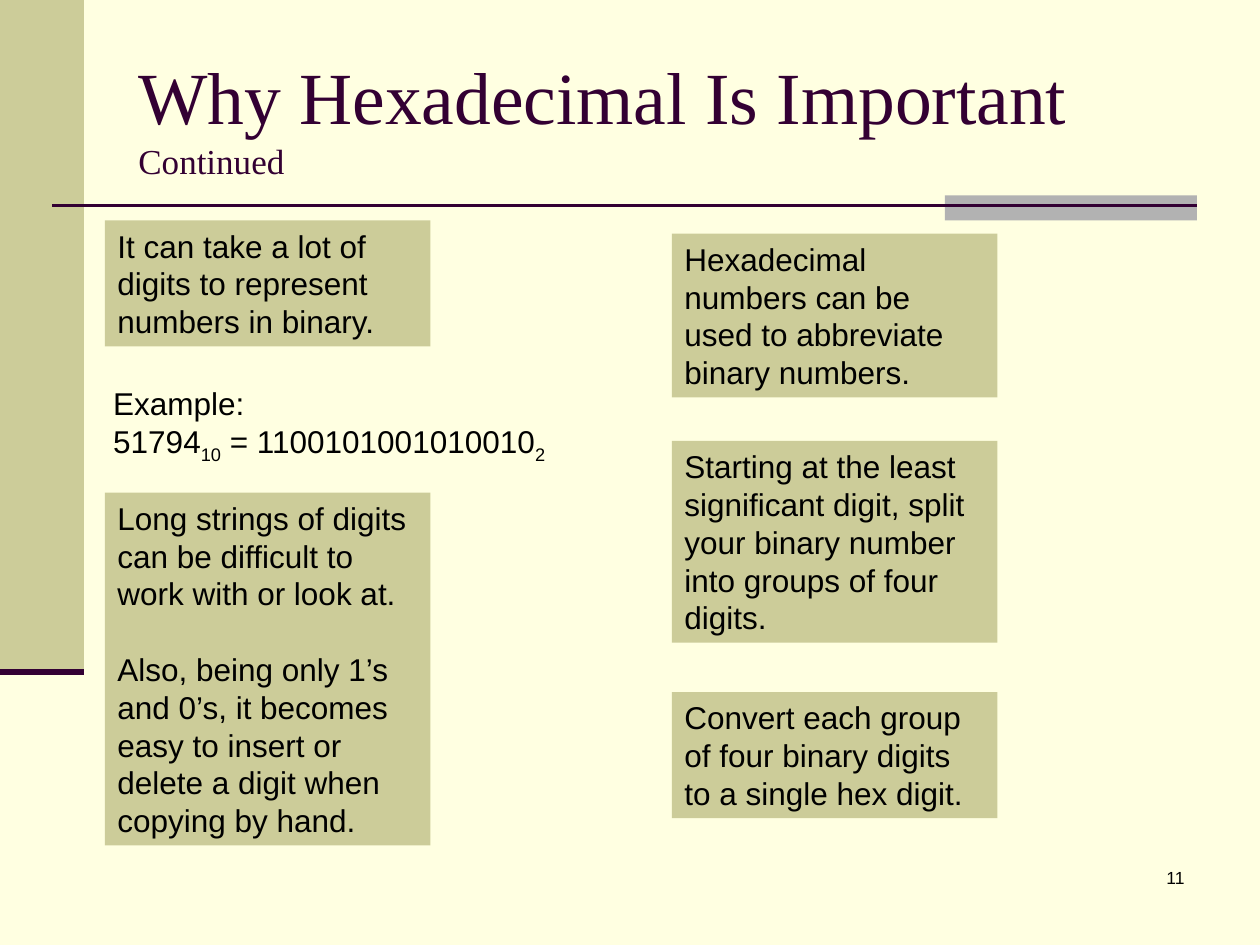
from pptx import Presentation
from pptx.dml.color import RGBColor
from pptx.enum.shapes import MSO_CONNECTOR, MSO_SHAPE
from pptx.enum.text import MSO_ANCHOR, PP_ALIGN
from pptx.oxml.ns import qn
from pptx.util import Pt
from lxml.etree import SubElement

CREAM = RGBColor(0xFF, 0xFF, 0xE1)
KHAKI = RGBColor(0xCC, 0xCC, 0x99)
GRAY = RGBColor(0xB2, 0xB2, 0xB2)
PLUM = RGBColor(0x33, 0x00, 0x33)
BLACK = RGBColor(0x00, 0x00, 0x00)

LEFT_COLUMN = 60
RIGHT_COLUMN = 384
NOTE_WIDTH = 186
PARAGRAPH_GAP = 21.6

NOTES = [
    (LEFT_COLUMN, 126, 72, ["It can take a lot of digits to represent numbers in binary."]),
    (LEFT_COLUMN, 281.5, 201.6, [
        "Long strings of digits can be difficult to work with or look at.",
        "Also, being only 1’s and 0’s, it becomes easy to insert or delete a digit "
        "when copying by hand.",
    ]),
    (RIGHT_COLUMN, 133.5, 93.6, ["Hexadecimal numbers can be used to abbreviate binary numbers."]),
    (RIGHT_COLUMN, 252, 115.2, [
        "Starting at the least significant digit, split your binary number "
        "into groups of four digits.",
    ]),
    (RIGHT_COLUMN, 395.5, 72, ["Convert each group of four binary digits to a single hex digit."]),
]


def set_font(font, size, name="Arial", color=BLACK):
    font.size = Pt(size)
    font.name = name
    font.color.rgb = color


def add_rectangle(slide, left, top, width, height, color):
    shape = slide.shapes.add_shape(
        MSO_SHAPE.RECTANGLE, Pt(left), Pt(top), Pt(width), Pt(height))
    shape.shadow.inherit = False
    shape.fill.solid()
    shape.fill.fore_color.rgb = color
    shape.line.fill.background()
    return shape


def add_rule(slide, left, right, y, weight):
    connector = slide.shapes.add_connector(
        MSO_CONNECTOR.STRAIGHT, Pt(left), Pt(y), Pt(right), Pt(y))
    connector.line.color.rgb = PLUM
    connector.line.width = Pt(weight)
    SubElement(connector._element.spPr, qn("a:effectLst"))


def add_text_box(slide, left, top, width, height, wrap=True):
    text_box = slide.shapes.add_textbox(Pt(left), Pt(top), Pt(width), Pt(height))
    text_box.text_frame.word_wrap = wrap
    return text_box.text_frame


def add_note(slide, left, top, height, texts):
    frame = add_rectangle(slide, left, top, NOTE_WIDTH, height, KHAKI).text_frame
    frame.word_wrap = True
    frame.vertical_anchor = MSO_ANCHOR.TOP
    frame.text = "\n".join(texts)
    for index, paragraph in enumerate(frame.paragraphs):
        paragraph.alignment = PP_ALIGN.LEFT
        set_font(paragraph.font, 18)
        if index:
            paragraph.space_before = Pt(PARAGRAPH_GAP)


def add_title(slide):
    frame = add_text_box(slide, 72, 21.6, 612, 90)
    frame.vertical_anchor = MSO_ANCHOR.MIDDLE
    paragraph = frame.paragraphs[0]
    for text, size in [("Why Hexadecimal Is Important\v", 42), ("Continued", 20)]:
        run = paragraph.add_run()
        run.text = text.rstrip("\v")
        set_font(run.font, size, "Times New Roman", PLUM)
        if text.endswith("\v"):
            paragraph.add_line_break()


def add_example(slide):
    frame = add_text_box(slide, 57.6, 216, 262, 53.3, wrap=False)
    frame.text = "Example:"
    equation = frame.add_paragraph()
    for number, base in [("51794", "10"), (" = 1100101001010010", "2")]:
        equation.add_run().text = number
        subscript = equation.add_run()
        subscript.text = base
        subscript.font._element.set("baseline", "-25000")
    for paragraph in frame.paragraphs:
        set_font(paragraph.font, 18)


def add_slide_number(slide):
    paragraph = add_text_box(slide, 534, 492, 150, 36).paragraphs[0]
    paragraph.text = "11"
    paragraph.alignment = PP_ALIGN.RIGHT
    set_font(paragraph.font, 10)


def main():
    presentation = Presentation()
    presentation.slide_width = Pt(720)
    presentation.slide_height = Pt(540)
    slide = presentation.slides.add_slide(presentation.slide_layouts[6])
    slide.background.fill.solid()
    slide.background.fill.fore_color.rgb = CREAM

    add_rectangle(slide, 0, 0, 48, 384, KHAKI)
    add_rectangle(slide, 540, 111.6, 144, 14.4, GRAY)
    add_rule(slide, 30, 684, 117.5, 1.5)
    add_rule(slide, 0, 48, 384, 3.5)
    add_title(slide)
    add_slide_number(slide)
    add_example(slide)
    for left, top, height, texts in NOTES:
        add_note(slide, left, top, height, texts)
    presentation.save("out.pptx")


if __name__ == "__main__":
    main()
